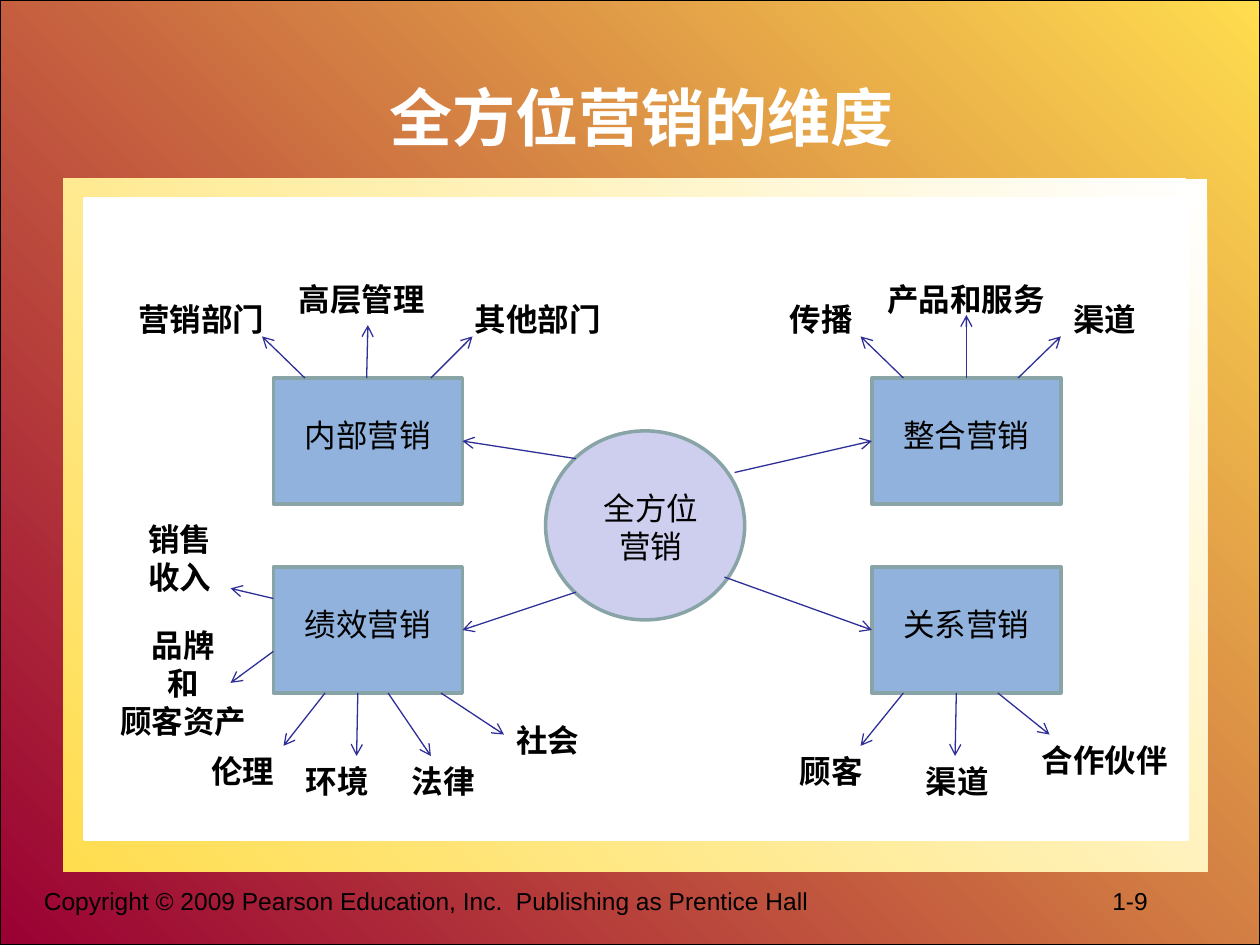
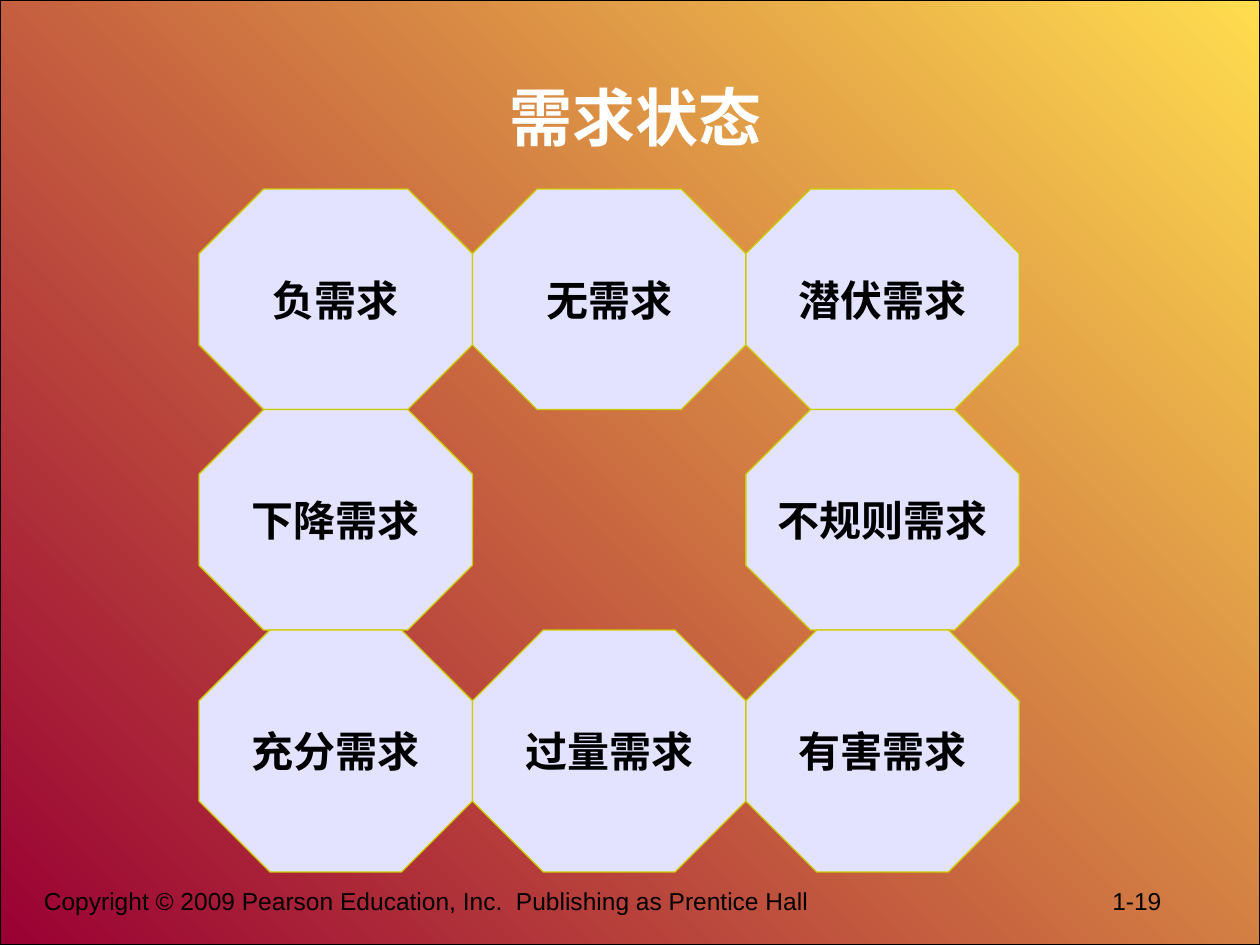
from lxml import etree
from pptx import Presentation
from pptx.dml.color import RGBColor
from pptx.enum.shapes import MSO_CONNECTOR as Line, MSO_SHAPE as Kind
from pptx.enum.text import MSO_ANCHOR as Anchor, PP_ALIGN as Align
from pptx.oxml.ns import qn
from pptx.util import Inches, Pt

WHITE = RGBColor(0xFF, 0xFF, 0xFF)
BLACK = RGBColor(0, 0, 0)
GOLD = RGBColor(0xFF, 0xDD, 0x4F)
WINE = RGBColor(0x99, 0x00, 0x33)
NAVY = RGBColor(0x2F, 0x2F, 0x98)
SKY = RGBColor(0x90, 0xB2, 0xDC)
LILAC = RGBColor(0xCE, 0xCE, 0xEF)
SAGE = RGBColor(0x89, 0xA4, 0xA7)
PALE = RGBColor(0xE3, 0xE3, 0xFF)
LIME = RGBColor(0xCC, 0xCC, 0x00)

LATIN, HAN = "Arial", "Noto Sans CJK SC"
NOTICE = "Copyright © 2009 Pearson Education, Inc.  Publishing as Prentice Hall"


class Deck:
    """Shared style and the slide being drawn."""

    def __init__(self):
        self.show = Presentation()
        self.show.slide_width = Inches(10)
        self.show.slide_height = Inches(7.5)
        self.slide = None

    def start(self, number):
        """New slide with its backdrop and footer."""
        self.slide = self.show.slides.add_slide(self.show.slide_layouts[6])
        self.shape(Kind.RECTANGLE, (0, 0, 10, 7.5), (GOLD, WINE), BLACK, 0.75)
        foot = self.text((0.25, 6.98, 9.33, 0.52), NOTICE, 14, align=Align.LEFT)
        para = foot.text_frame.paragraphs[0]
        tabs = etree.SubElement(para._p.get_or_add_pPr(), qn("a:tabLst"))
        etree.SubElement(tabs, qn("a:tab"), pos=str(Inches(8.48)), algn="l")
        self.run(para, "\t" + number, 14)

    def title(self, text, left=0.83):
        box = self.text((left, 0.3, 8.42, 1.25), text, 36, WHITE, True, font=HAN)
        box.text_frame.vertical_anchor = Anchor.MIDDLE

    def run(self, para, text, size, color=BLACK, bold=False, font=LATIN):
        run = para.add_run()
        run.text = text
        run.font.size, run.font.bold, run.font.name = Pt(size), bold, font
        run.font.color.rgb = color
        etree.SubElement(run._r.get_or_add_rPr(), qn("a:ea"), typeface=HAN)

    def lines(self, frame, text, size, color=BLACK, bold=False,
              align=Align.CENTER, font=LATIN):
        for i, line in enumerate(text.split("\n")):
            para = frame.add_paragraph() if i else frame.paragraphs[0]
            para.alignment = align
            self.run(para, line, size, color, bold, font)

    def text(self, area, text, size, *style, **more):
        box = self.slide.shapes.add_textbox(*map(Inches, area))
        box.text_frame.word_wrap = True
        self.lines(box.text_frame, text, size, *style, **more)
        return box

    def shape(self, kind, area, fill, edge=None, width=2):
        """Preset shape; a pair of fill colours runs from top right."""
        shape = self.slide.shapes.add_shape(kind, *map(Inches, area))
        shape.shadow.inherit = False
        if isinstance(fill, RGBColor):
            shape.fill.solid()
            shape.fill.fore_color.rgb = fill
        else:
            shape.fill.gradient()
            shape.fill.gradient_angle = 225
            for stop, color, place in zip(shape.fill.gradient_stops, fill, (0, 1)):
                stop.color.rgb, stop.position = color, place
        if edge is None:
            shape.line.fill.background()
        else:
            shape.line.color.rgb, shape.line.width = edge, Pt(width)
        return shape

    def arrow(self, *ends):
        line = self.slide.shapes.add_connector(Line.STRAIGHT, *map(Inches, ends))
        line.line.color.rgb, line.line.width = NAVY, Pt(0.75)
        props = line._element.spPr
        etree.SubElement(props.find(qn("a:ln")), qn("a:tailEnd"), type="arrow")
        etree.SubElement(props, qn("a:effectLst"))


def dims(deck):
    deck.start("1-9")
    deck.shape(Kind.RECTANGLE, (0.5, 1.42, 9.08, 5.5), (WHITE, GOLD))
    deck.title("全方位营销的维度", 0.88)
    deck.shape(Kind.RECTANGLE, (0.67, 1.58, 8.75, 5.08), WHITE, WHITE)

    # Hub and four branches
    deck.shape(Kind.OVAL, (4.33, 3.42, 1.58, 1.5), LILAC, SAGE)
    deck.text((4.58, 3.83, 1.17, 0.7), "全方位营销", 18, font=HAN)
    west, east, high, low = 2.17, 6.92, 3, 4.5
    for name, x, y in (("内部营销", west, high), ("整合营销", east, high),
                       ("绩效营销", west, low), ("关系营销", east, low)):
        deck.shape(Kind.RECTANGLE, (x, y, 1.5, 1), SKY, SAGE)
        deck.text((x, y + 0.25, 1.5, 0.4), name, 18, font=HAN)
    for x, y, tip, row in ((5.83, 3.75, east, high), (4.57, 3.64, west + 1.5, high),
                           (4.57, 4.7, west + 1.5, low), (5.75, 4.58, east, low)):
        deck.arrow(x, y, tip, row + 0.5)

    # Arrows from the branches: start x, tip x, tip y
    above = ((2.42, 2.08, 2.67), (2.91, 2.92, 2.58), (3.42, 3.75, 2.67),
             (7.17, 6.83, 2.67), (7.67, 7.67, 2.5), (8.08, 8.42, 2.67))
    below = ((2.58, 2.25, 5.92), (2.84, 2.83, 6), (3.08, 3.42, 6), (3.5, 4, 5.83),
             (7.17, 6.83, 5.92), (7.59, 7.58, 6), (7.92, 8.33, 5.83))
    for edge, fan in ((high, above), (low + 1, below)):
        for x, tip, end in fan:
            deck.arrow(x, edge, tip, end)
    for y, end in ((4.75, 4.67), (5.17, 5.42)):
        deck.arrow(west, y, 1.83, end)

    # Labels at the arrow tips
    left, mid = Align.LEFT, Align.CENTER
    for text, x, y, wide, tall, align in (
            ("营销部门", 1, 2.33, 1.42, 0.4, left),
            ("高层管理", 2.08, 2.17, 1.58, 0.4, mid),
            ("其他部门", 3.67, 2.33, 1.33, 0.4, left),
            ("传播", 6.17, 2.33, 0.75, 0.4, left),
            ("产品和服务", 6.83, 2.17, 1.67, 0.4, mid),
            ("渠道", 8.42, 2.33, 0.92, 0.4, left),
            ("销售收入", 1.08, 4.08, 0.75, 0.7, left),
            ("品牌\n和\n顾客资产", 0.83, 4.92, 1.25, 1, mid),
            ("伦理", 1.58, 5.92, 0.83, 0.4, left),
            ("环境", 2.33, 6, 0.75, 0.4, left),
            ("法律", 3.17, 6, 0.83, 0.4, left),
            ("社会", 4, 5.67, 0.83, 0.4, left),
            ("顾客", 6.25, 5.92, 0.83, 0.4, left),
            ("渠道", 7.25, 6, 0.83, 0.4, left),
            ("合作伙伴", 8.17, 5.83, 1.25, 0.4, left)):
        deck.text((x, y, wide, tall), text, 18, bold=True, align=align)


def states(deck):
    deck.start("1-19")
    deck.title("需求状态")

    # Ring of octagons with an empty centre
    rows = ((1.5, 1.75, ("负需求", "无需求", "潜伏需求")),
            (3.25, 1.75, ("下降需求", None, "不规则需求")),
            (5, 1.92, ("充分需求", "过量需求", "有害需求")))
    for y, tall, names in rows:
        for col, name in enumerate(names):
            if name is None:
                continue
            area = (1.58 + col * 2.17, y, 2.17, tall)
            tile = deck.shape(Kind.OCTAGON, area, PALE, LIME, 0.75)
            tile.adjustments[0] = 0.293
            frame = tile.text_frame
            frame.word_wrap = False
            frame.vertical_anchor = Anchor.MIDDLE
            deck.lines(frame, name, 24, bold=True)


def main():
    deck = Deck()
    dims(deck)
    states(deck)
    deck.show.save("out.pptx")


if __name__ == "__main__":
    main()
